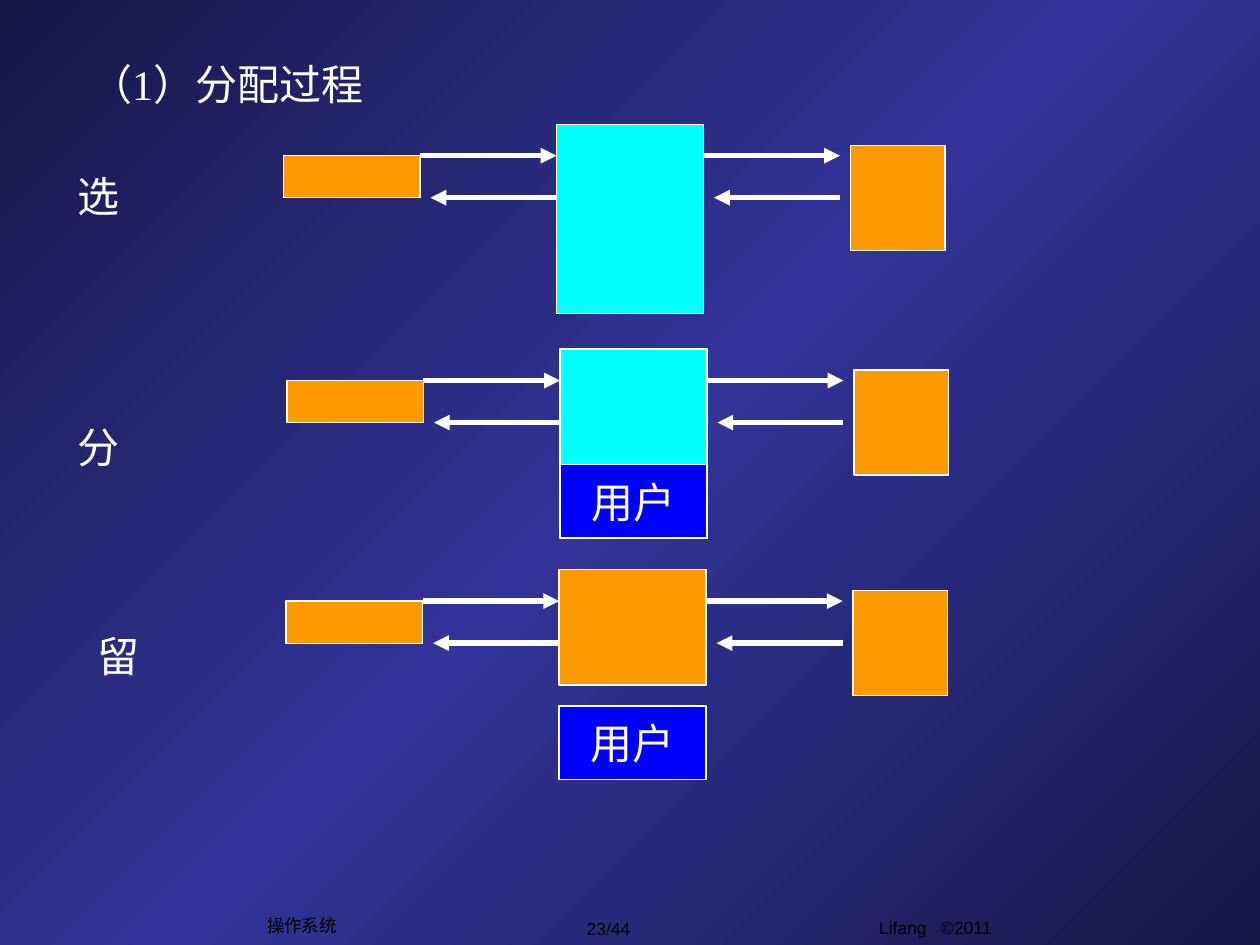
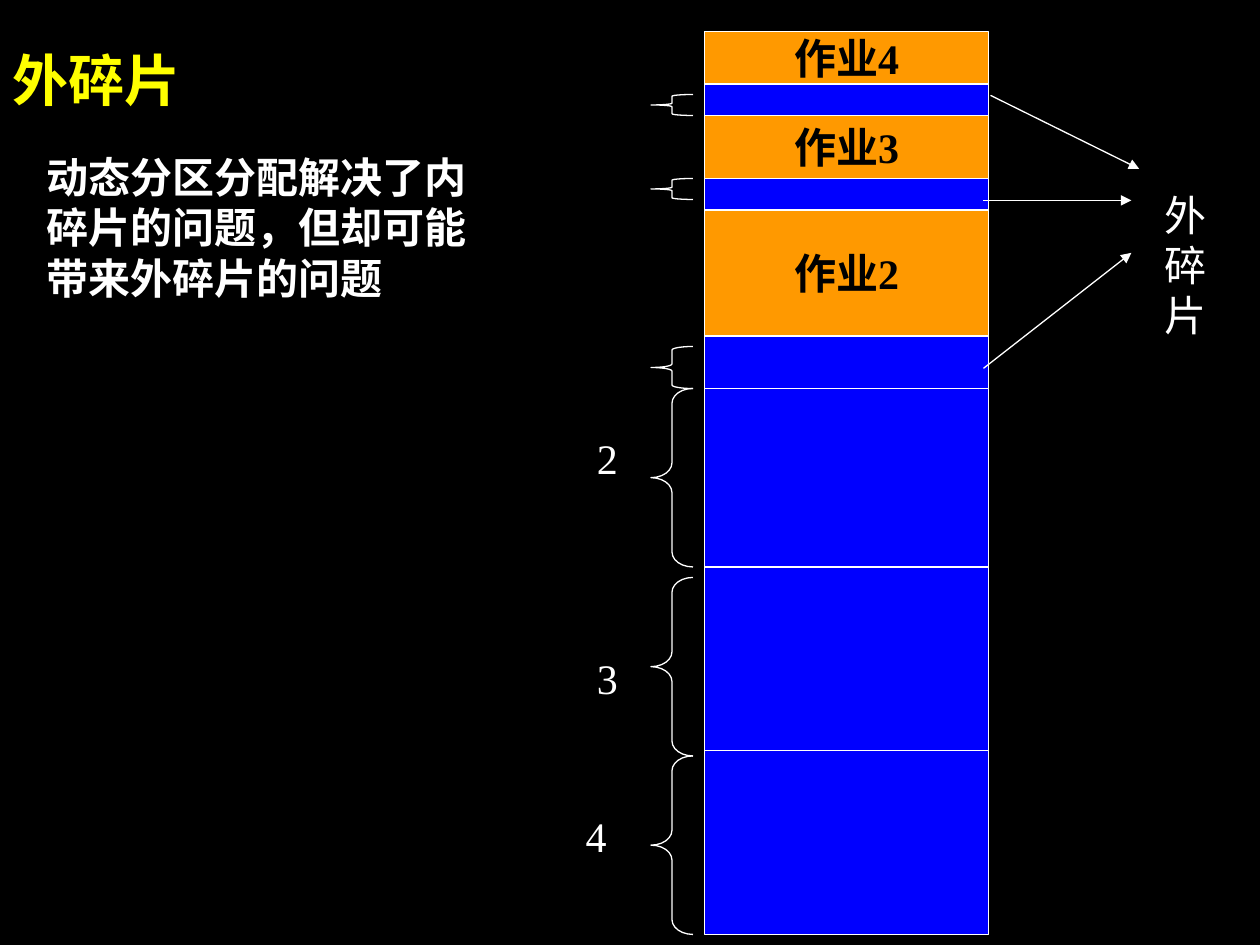
from copy import deepcopy
from dataclasses import dataclass

from pptx import Presentation
from pptx.dml.color import RGBColor
from pptx.enum import shapes as sh, text as tx
from pptx.oxml import ns, parse_xml
from pptx.util import Pt


@dataclass(frozen=True)
class Theme:
    white: str = "FFFFFF"
    black: str = "000000"
    yellow: str = "FFFF00"
    orange: str = "FF9900"
    cyan: str = "00FFFF"
    blue: str = "0000FF"
    navy: str = "171746"
    indigo: str = "333399"
    serif: str = "Times New Roman"
    sans: str = "Arial"
    head: int = 32
    text: int = 24
    foot: int = 10
    thin: float = 0.75
    thick: float = 3


T = Theme()
RECT = sh.MSO_SHAPE.RECTANGLE
PROC = sh.MSO_SHAPE.FLOWCHART_PROCESS
BRACE = sh.MSO_SHAPE.LEFT_BRACE
LEFT, MID = tx.PP_ALIGN.LEFT, tx.PP_ALIGN.CENTER
TOP, CORE = tx.MSO_ANCHOR.TOP, tx.MSO_ANCHOR.MIDDLE


def rgb(code):
    return RGBColor.from_string(code)


def write(shape, words, size=T.text, font=T.serif, color=T.white,
          bold=False, align=LEFT, anchor=TOP, wrap=False):
    frame = shape.text_frame
    frame.text = words
    frame.auto_size = tx.MSO_AUTO_SIZE.NONE
    frame.word_wrap = wrap
    frame.vertical_anchor = anchor
    para = frame.paragraphs[0]
    para.alignment = align
    style = para.runs[0].font
    style.name, style.size, style.bold = font, Pt(size), bold
    style.color.rgb = rgb(color)


def label(slide, box, words, **form):
    write(slide.shapes.add_textbox(*map(Pt, box)), words, **form)


def title(slide, box, words, **form):
    head = slide.shapes.title
    head.left, head.top, head.width, head.height = map(Pt, box)
    write(head, words, anchor=CORE, wrap=True, **form)


def block(slide, kind, box, fill=None, words=None, **form):
    shape = slide.shapes.add_shape(kind, *map(Pt, box))
    shape.shadow.inherit = False
    if fill:
        shape.fill.solid()
        shape.fill.fore_color.rgb = rgb(fill)
    else:
        shape.fill.background()
    shape.line.color.rgb = rgb(T.white)
    shape.line.width = Pt(T.thin)
    if words:
        write(shape, words, align=MID, anchor=CORE, **form)
    return shape


def arrow(slide, start, end, width):
    line = slide.shapes.add_connector(
        sh.MSO_CONNECTOR.STRAIGHT, *map(Pt, (*start, *end)))
    line.line.color.rgb = rgb(T.white)
    line.line.width = Pt(width)
    space = ns.nsdecls("a")
    line.line._get_or_add_ln().append(
        parse_xml(f'<a:tailEnd {space} type="triangle"/>'))
    line._element.spPr.append(parse_xml(f"<a:effectLst {space}/>"))


def brace(slide, left, top, high):
    wide = 24
    shape = block(slide, BRACE, (left, top, wide, high))
    shape.adjustments[0] = high / 12 / min(wide, high)


def glow(slide):
    fill = slide.background.fill
    fill.gradient()
    fill.gradient_angle = 315
    stops = slide.element.find(".//" + ns.qn("a:gsLst"))
    stops.insert(1, deepcopy(stops[0]))
    for stop, place, color in zip(fill.gradient_stops, (0, 0.5, 1),
                                  (T.navy, T.indigo, T.navy)):
        stop.position = place
        stop.color.rgb = rgb(color)


def plain(slide, color):
    fill = slide.background.fill
    fill.solid()
    fill.fore_color.rgb = rgb(color)


def footer(slide):
    form = dict(size=T.foot, font=T.sans, color=T.black, align=MID)
    label(slide, (420.5, 520.5, 228, 25), "Lifang   ©2011", **form)
    label(slide, (311, 521, 73.5, 19.5), "23/44", anchor=CORE, **form)
    label(slide, (145.5, 519, 54, 19.5), "操作系统", anchor=CORE, **form)


def stage(slide, left, top, name, shift, fill, high, user=None):
    def at(x, y):
        return left + x, top + y

    block(slide, PROC, (*at(0, 18), 78, 24), T.orange)
    block(slide, RECT, (*at(324, 12), 54, 60), T.orange)
    for x in (78, 240):
        arrow(slide, at(x, 18), at(x + 78, 18), T.thick)
        arrow(slide, at(x + 78, 42), at(x + 6, 42), T.thick)
    block(slide, PROC, (*at(156, 0), 84, high), fill)
    if user:
        block(slide, PROC, (*at(156, user), 84, 42), T.blue, "用户")
    label(slide, (*at(*shift), 38, 36), name)


def memory(slide, left, top, wide):
    jobs = [(30, "作业4"), (18, None), (36, "作业3"), (18, None), (72, "作业2"),
            (30, None), (102, None), (105, None), (105, None)]
    for high, job in jobs:
        block(slide, RECT, (left, top, wide, high),
              T.orange if job else T.blue, job, color=T.black, bold=True)
        top += high


def scale(slide, left, top):
    for y, high in ((36, 12), (84, 12), (180, 24),
                    (204, 102), (312, 102), (414, 102)):
        brace(slide, left + 38, top + y, high)
    for x, y, mark in ((0, 225.5, "2"), (0, 351.5, "3"), (-6.5, 441.5, "4")):
        label(slide, (left + x, top + y, 26, 36), mark)


def gaps(slide, left, top):
    for start, end in (((4, 0), (89, 42)), ((0, 60), (84.5, 60)),
                       ((0, 156), (84.5, 90))):
        arrow(slide, (left + start[0], top + start[1]),
              (left + end[0], top + end[1]), T.thin)
    label(slide, (left + 96.5, top + 50, 61, 93.5), "外碎片", wrap=True)


def allot(slide):
    glow(slide)
    footer(slide)
    stage(slide, 162, 71, "选", (-125, 23), T.cyan, 108)
    stage(slide, 164, 199.5, "分", (-127, 38), T.cyan, 108, user=66)
    stage(slide, 163.5, 325.5, "留", (-115, 31.5), T.orange, 66, user=78)
    title(slide, (36.5, 36, 186, 24), "（1）分配过程", size=T.text, align=MID)


def waste(slide):
    plain(slide, T.black)
    title(slide, (0, 0, 601, 90), "外碎片", size=T.head, color=T.yellow, bold=True)
    memory(slide, 402.5, 18, 162.5)
    scale(slide, 334, 18)
    gaps(slide, 562, 54.5)
    label(slide, (19.5, 83, 272, 93.5), "动态分区分配解决了内碎片的问题，但却可能带来外碎片的问题",
          bold=True, wrap=True)


def main():
    deck = Presentation()
    deck.slide_width, deck.slide_height = Pt(720), Pt(540)
    for build in (allot, waste):
        build(deck.slides.add_slide(deck.slide_layouts[5]))
    deck.save("out.pptx")


if __name__ == "__main__":
    main()
